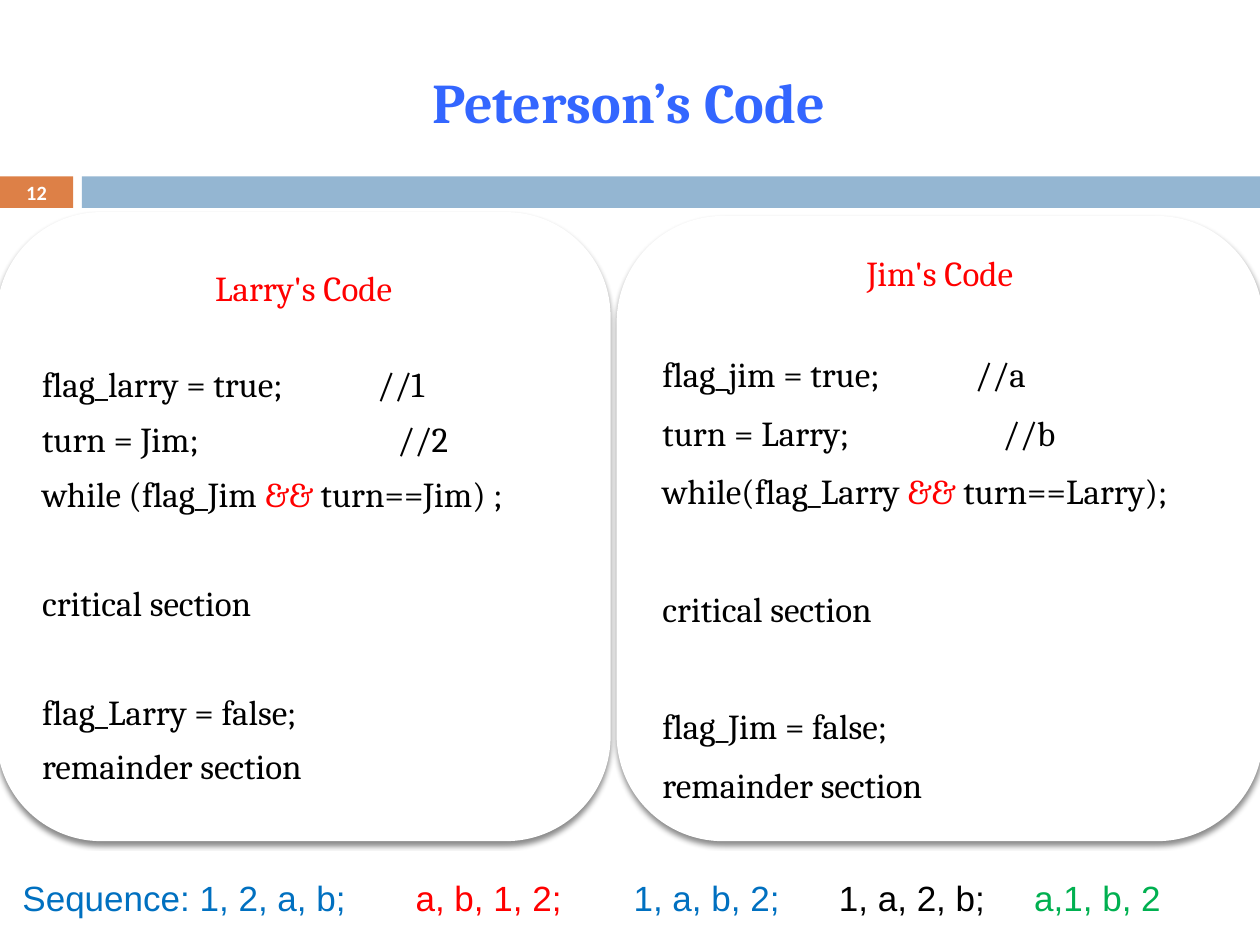
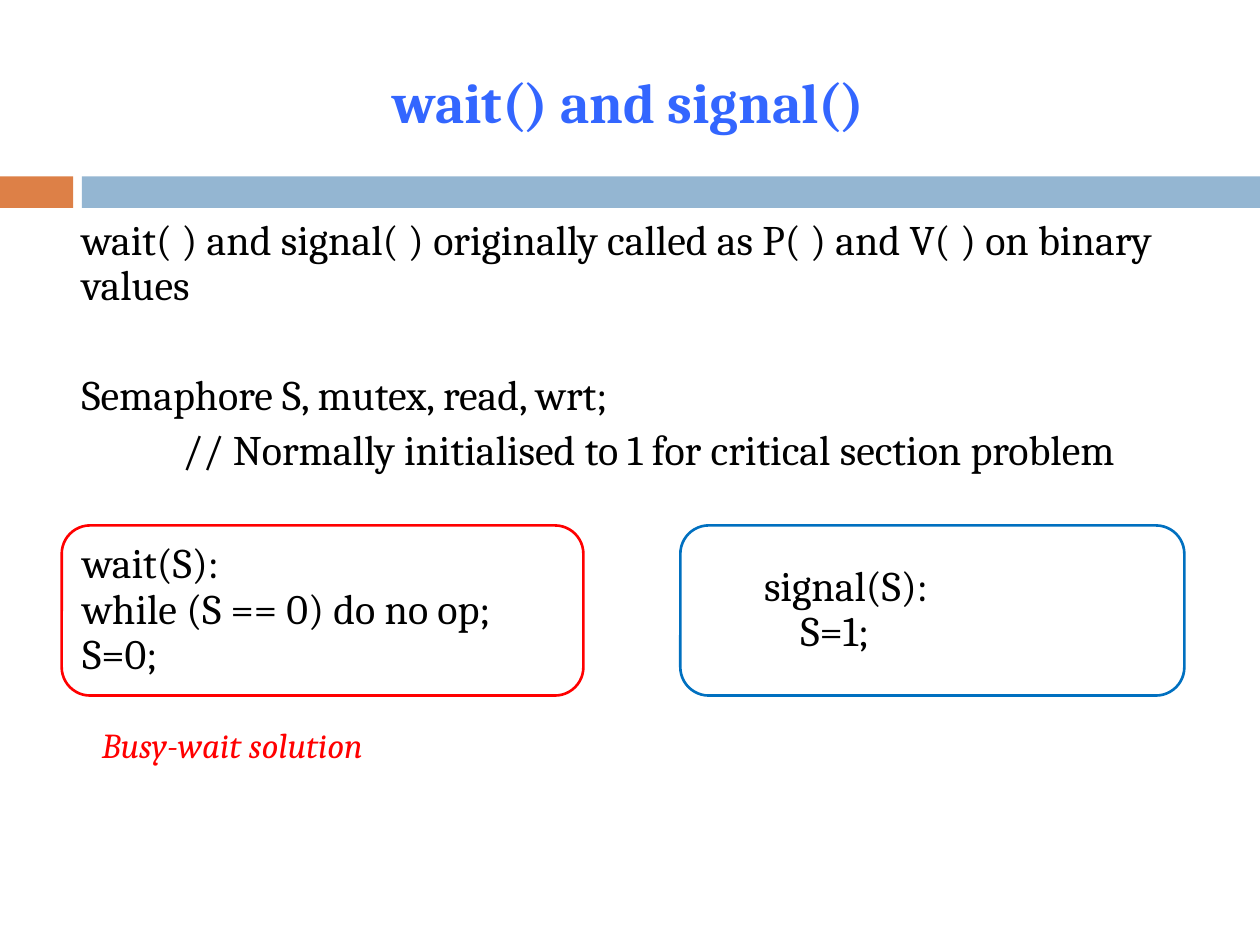
import pptx
import pptx.util
from lxml import etree
from pptx.dml.color import RGBColor
from pptx.enum.shapes import MSO_SHAPE
from pptx.enum.text import MSO_ANCHOR, PP_ALIGN
from pptx.oxml.ns import qn

Inches, Pt = pptx.util.Inches, pptx.util.Pt

WHITE = RGBColor(0xFF, 0xFF, 0xFF)
BLACK = RGBColor(0, 0, 0)
RED = RGBColor(0xFF, 0, 0)
BLUE = RGBColor(0, 0x70, 0xC0)
GREEN = RGBColor(0, 0xB0, 0x50)
TITLE_BLUE = RGBColor(0x33, 0x66, 0xFF)
ORANGE = RGBColor(0xDD, 0x80, 0x47)
BAND_BLUE = RGBColor(0x94, 0xB6, 0xD2)

W, H = 10, 7.5
SERIF, SANS, NUMBER_FONT = "Cambria", "Arial", "Calibri"
TAG_W, BAND_X, BAND_Y, BAND_H = 0.58, 0.65, 1.4, 0.25

# Content: each code line is (runs, blank lines above, tab stop in inches)
CODE_CARDS = [
    {"at": (4.92, 1.74, 5.08, 4.91), "spacing": 1.4, "heading": "Jim's Code",
     "code": [([("flag_jim = true;\t//a", BLACK)], 0, 2.48),
              ([("turn = Larry;\t//b", BLACK)], 0, 2.7),
              ([("while(flag_Larry ", BLACK), ("&&", RED), (" turn==Larry);", BLACK)], 0, None),
              ([("critical section", BLACK)], 1, None),
              ([("flag_Jim = false;", BLACK)], 1, None),
              ([("remainder section", BLACK)], 0, None)]},
    {"at": (0, 1.71, 4.82, 4.94), "spacing": 1.3, "heading": "Larry's Code",
     "code": [([("flag_larry = true;\t//1", BLACK)], 0, 2.66),
              ([("turn = Jim;\t//2", BLACK)], 0, 2.82),
              ([("while (flag_Jim ", BLACK), ("&&", RED), (" turn==Jim) ;", BLACK)], 0, None),
              ([("critical section", BLACK)], 1, None),
              ([("flag_Larry = false;", BLACK)], 1, None),
              ([("remainder section", BLACK)], 0, None)]},
]
SEQUENCES = [  # left, width, text, colour
    (0.08, 2.86, "Sequence: 1, 2, a, b;", BLUE),
    (3.2, 1.64, "a, b, 1, 2;", RED),
    (4.93, 1.48, "1, a, b, 2;", BLUE),
    (6.56, 1.41, "1, a, 2, b;", BLACK),
    (8.11, 1.42, "a,1, b, 2", GREEN),
]
SEMAPHORE_INTRO = [  # text, left margin, space before
    ("wait( ) and signal( ) originally called as P( ) and V( ) on binary values", 0.4, 0),
    ("Semaphore S, mutex, read, wrt;", 0.4, 37),
    ("// Normally initialised to 1 for critical section problem", 1.2, 5.5),
]
OPERATIONS = [  # left, width, outline, lines with left margin
    (0.49, 4.14, RED, [("wait(S):", 0), ("while (S == 0) do no op;", 0), ("S=0;", 0)]),
    (5.4, 4, BLUE, [("signal(S):", 0.5), ("S=1;", 0.79)]),
]
LINE_PT = 23.9  # height of one 20 pt serif line


# Shared helpers
def add_box(s, kind, at, fill, line=None, line_pt=1.5):
    sp = s.shapes.add_shape(kind, *map(Inches, at))
    sp.shadow.inherit = False
    sp.fill.solid()
    sp.fill.fore_color.rgb = fill
    if line is None:
        sp.line.fill.background()
    else:
        sp.line.color.rgb = line
        sp.line.width = Pt(line_pt)
    sp.text_frame.word_wrap = True
    sp.text_frame.vertical_anchor = MSO_ANCHOR.MIDDLE
    return sp


def add_shadow(sp):
    effects = sp.element.spPr.find(qn("a:effectLst"))
    shadow = etree.SubElement(effects, qn("a:outerShdw"), blurRad=str(Pt(3)),
                              dist=str(Pt(2.4)), dir="5400000", rotWithShape="0")
    color = etree.SubElement(shadow, qn("a:srgbClr"), val="000000")
    etree.SubElement(color, qn("a:alpha"), val="45000")


def add_text_box(s, at, anchor=MSO_ANCHOR.TOP):
    tf = s.shapes.add_textbox(*map(Inches, at)).text_frame
    tf.word_wrap = True
    tf.vertical_anchor = anchor
    return tf


def add_para(tf, runs, size, font=SERIF, align=PP_ALIGN.LEFT, spacing=None,
             before=0, margin=0, tab=None, bold=False, italic=False):
    p = tf.paragraphs[0]
    if p.runs:
        p = tf.add_paragraph()
    p.alignment = align
    if spacing:
        p.line_spacing = spacing
    if before:
        p.space_before = Pt(before)
    pPr = p._p.get_or_add_pPr()
    if margin:
        pPr.set("marL", str(Inches(margin)))
        pPr.set("indent", "0")
    if tab:
        tabs = etree.SubElement(pPr, qn("a:tabLst"))
        etree.SubElement(tabs, qn("a:tab"), pos=str(Inches(tab)), algn="l")
    for text, color in runs:
        r = p.add_run()
        r.text = text
        r.font.name, r.font.size = font, Pt(size)
        r.font.bold, r.font.italic = bold, italic
        r.font.color.rgb = color


def add_slide(prs, title, number=None):
    s = prs.slides.add_slide(prs.slide_layouts[6])
    add_box(s, MSO_SHAPE.RECTANGLE, (0, BAND_Y, TAG_W, BAND_H), ORANGE)
    add_box(s, MSO_SHAPE.RECTANGLE, (BAND_X, BAND_Y, W - BAND_X, BAND_H), BAND_BLUE)
    if number:
        tf = add_text_box(s, (0, BAND_Y - 0.01, TAG_W, 0.27), MSO_ANCHOR.MIDDLE)
        add_para(tf, [(number, WHITE)], 11.6, NUMBER_FONT, PP_ALIGN.CENTER, bold=True)
    tf = add_text_box(s, (0.23, 0.42, 9.52, 0.77), MSO_ANCHOR.MIDDLE)
    add_para(tf, [(title, TITLE_BLUE)], 32, align=PP_ALIGN.CENTER, bold=True)
    return s


def build_peterson(prs):
    s = add_slide(prs, "Peterson’s Code", "12")
    # Code cards
    for card in CODE_CARDS:
        sp = add_box(s, MSO_SHAPE.ROUNDED_RECTANGLE, card["at"], WHITE, WHITE, 3.75)
        add_shadow(sp)
        tf = sp.text_frame
        add_para(tf, [(card["heading"], RED)], 20, align=PP_ALIGN.CENTER)
        for i, (runs, blanks, tab) in enumerate(card["code"]):
            before = LINE_PT if i == 0 else blanks * LINE_PT * card["spacing"]
            add_para(tf, runs, 20, spacing=card["spacing"], before=round(before, 1), tab=tab)
    # Possible interleavings
    for left, width, text, color in SEQUENCES:
        add_para(add_text_box(s, (left, 6.91, width, 0.44)), [(text, color)], 20, SANS)


def build_semaphore(prs):
    s = add_slide(prs, "wait() and signal()")
    # Introduction
    tf = add_text_box(s, (0.15, 1.69, 9.6, 2.3))
    for text, margin, before in SEMAPHORE_INTRO:
        add_para(tf, [(text, BLACK)], 24, spacing=0.9, before=before, margin=margin)
    # The two operations
    for left, width, outline, lines in OPERATIONS:
        sp = add_box(s, MSO_SHAPE.ROUNDED_RECTANGLE, (left, 4.17, width, 1.35), WHITE, outline)
        for text, margin in lines:
            add_para(sp.text_frame, [(text, BLACK)], 24, spacing=0.9, margin=margin)
    tf = add_text_box(s, (0.71, 5.69, 2.9, 0.44))
    add_para(tf, [("Busy-wait solution", RED)], 20, italic=True)


def main():
    prs = pptx.Presentation()
    prs.slide_width, prs.slide_height = Inches(W), Inches(H)
    build_peterson(prs)
    build_semaphore(prs)
    prs.save("out.pptx")


if __name__ == "__main__":
    main()
